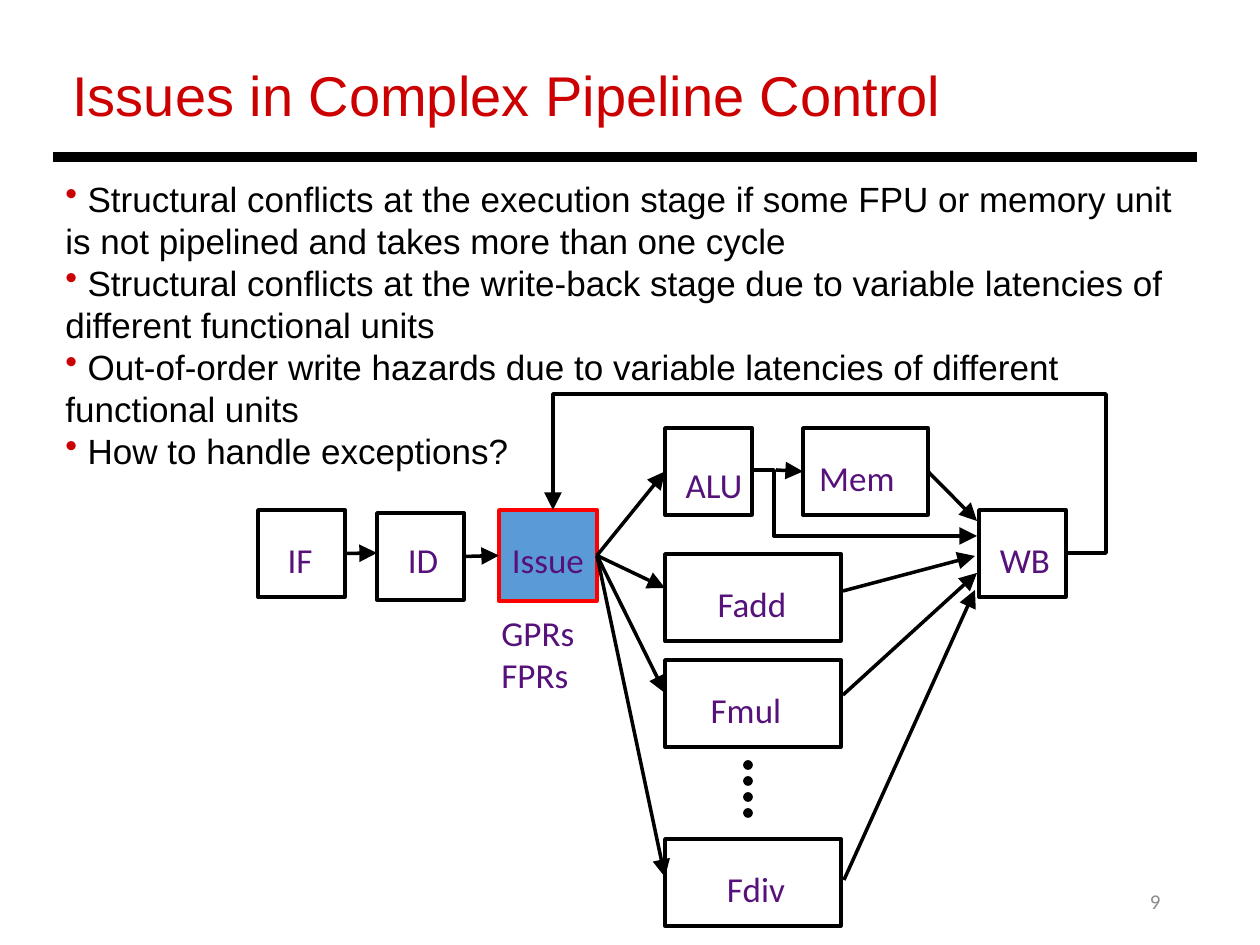
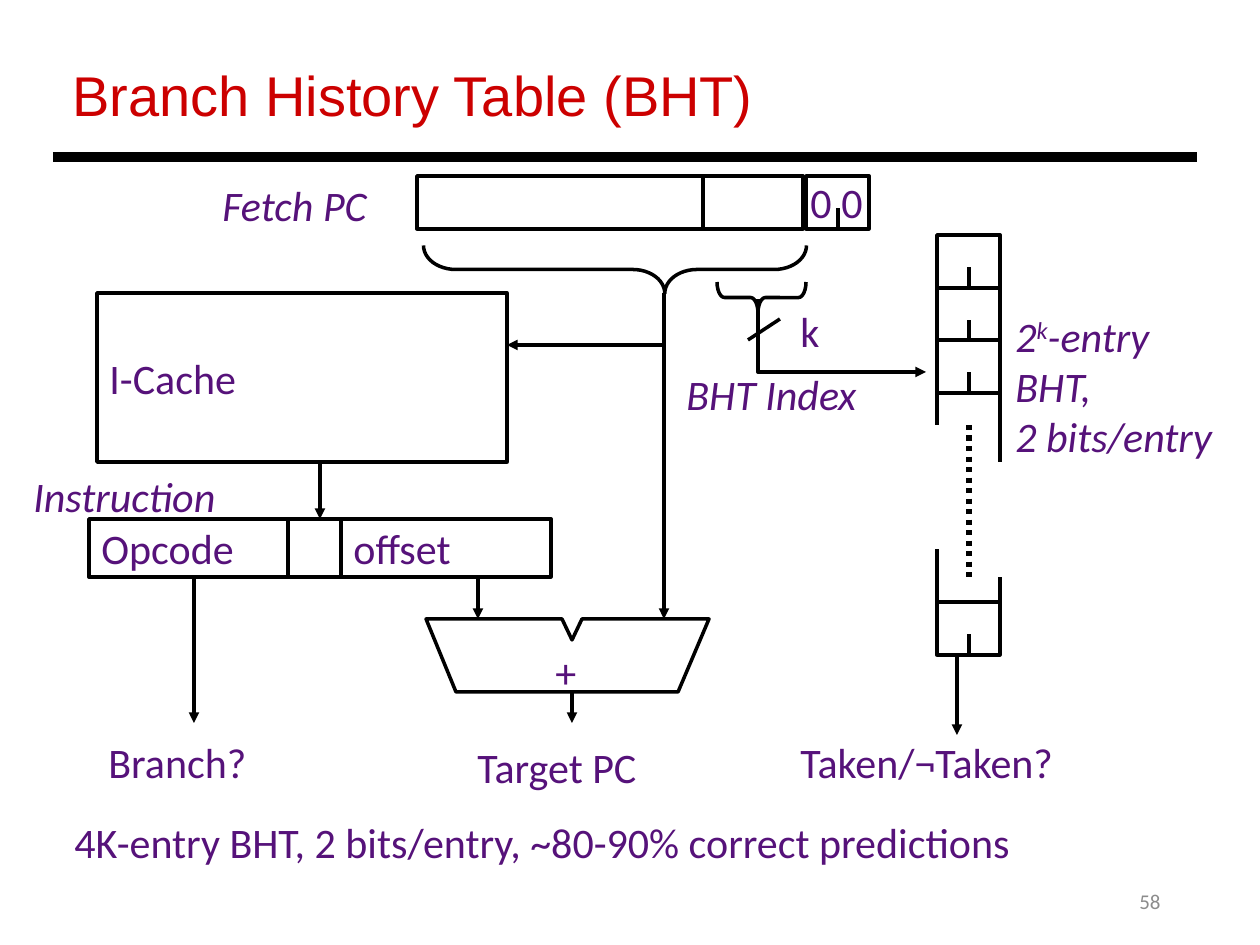
from lxml.etree import SubElement
from pptx import Presentation
from pptx.dml.color import RGBColor
from pptx.enum.dml import MSO_LINE
from pptx.enum.shapes import MSO_CONNECTOR, MSO_SHAPE
from pptx.enum.text import MSO_ANCHOR, PP_ALIGN
from pptx.oxml.ns import qn
from pptx.util import Emu, Pt

SCALE = 914400 / 126  # EMU in one px
HUES = {"title": "CC0000", "ink": "000000", "label": "56127A", "page": "8C8C8C",
        "issue": "5B9BD5", "alert": "FF0000", "paper": "FFFFFF"}
TOP, LEFT, RIGHT = 0, 1, 3  # connection sites

# Pipeline slide
ISSUES = [
    " Structural conflicts at the execution stage if some FPU or memory unit"
    " is not pipelined and takes more than one cycle",
    " Structural conflicts at the write-back stage due to variable latencies of"
    " different functional units",
    " Out-of-order write hazards due to variable latencies of different functional units",
    " How to handle exceptions?",
]
# name: x, y, width, height, label centre, label top
STAGES = {
    "IF": (258, 510, 87, 87, 300, 532),
    "ID": (377, 513, 87, 87, 423, 532),
    "Issue": (499, 510, 98, 91, 548, 532),
    "WB": (979, 510, 87, 87, 1025, 532),
    "ALU": (665, 428, 87, 87, 714, 457),
    "Mem": (803, 428, 125, 87, 857, 450),
    "Fadd": (665, 554, 176, 87, 752, 576),
    "Fmul": (665, 660, 176, 87, 746, 682),
    "Fdiv": (665, 839, 176, 87, 756, 861),
}
# from, to: a point, or a stage and its side
FLOWS = [
    (("IF", RIGHT), (377, 553)),
    (("ID", RIGHT), ("Issue", LEFT)),
    (("Issue", RIGHT), ("ALU", LEFT)),
    (("Issue", RIGHT), (665, 588)),
    (("Issue", RIGHT), (665, 693)),
    (("Issue", RIGHT), (665, 877)),
    ((776, 470), ("Mem", LEFT)),
    (("Mem", RIGHT), (977, 521)),
    ((843, 591), (975, 556)),
    ((843, 695), (977, 573)),
    ((844, 880), (975, 590)),
]
BENDS = [
    [(753, 470), (774, 470), (774, 536), (977, 536)],
    [(1067, 553), (1106, 553), (1106, 394), (553, 394), (553, 510)],
]

# Branch history slide; ^ marks superscript
NOTES = [
    ("0", 798, 170), ("0", 829, 170), ("k", 788, 299), ("+", 543, 640),
    ("Branch?", 96, 730), ("Target PC", 465, 735), ("Taken/¬Taken?", 788, 730),
]
SLANTED = [
    ("Fetch PC", 210, 173), ("Instruction", 21, 464), ("BHT Index", 674, 362),
    ("2^k^-entry\nBHT,\n2 bits/entry", 1003, 304),
]
CLAIM = "4K-entry BHT, 2 bits/entry, ~80-90% correct predictions"
FIELDS = [("Opcode", 89, 288), ("", 288, 341), ("offset", 341, 551)]
CELLS = [(806, 176), (937, 235), (937, 288), (937, 340), (937, 602)]
BRACES = [(591, 78, 48, 383, 0.67, 0.37), (746, 253, 31, 89, 0.24, 0.54)]
DROPS = [(572, 692, 723), (664, 345, 619), (194, 577, 723), (478, 577, 619),
         (320, 462, 519), (957, 655, 735)]
TURNS = [
    [(664, 293), (664, 345), (507, 345)],
    [(758, 299), (758, 372), (926, 372)],
]
PLAIN = [
    ((703, 176), (703, 229)), ((748, 340), (780, 319)),
    ((937, 392), (937, 425)), ((937, 602), (937, 549)),
    ((1000, 392), (1000, 462)), ((1000, 602), (1000, 577)),
]
ADDER = [(426, 619), (562, 619), (572, 640), (582, 619), (709, 619), (678, 692), (456, 692)]


def px(*nums):
    return [Emu(round(n * SCALE)) for n in nums]


def hue(name):
    return RGBColor.from_string(HUES[name])


def pen(line, color="ink", width=2, head=None):
    line.color.rgb = hue(color)
    line.width = Pt(width)
    if head:
        SubElement(line._get_or_add_ln(), qn("a:tailEnd"), type="triangle", w=head, len=head)


def paint(shape, fill=None, **style):
    shape.shadow.inherit = False
    if fill:
        shape.fill.solid()
        shape.fill.fore_color.rgb = hue(fill)
    else:
        shape.fill.background()
    pen(shape.line, **style)
    return shape


def box(slide, area, kind=MSO_SHAPE.RECTANGLE, **style):
    return paint(slide.shapes.add_shape(kind, *px(*area)), **style)


def text(frame, words, size=24, font="Calibri", color="label", italic=False,
         align=PP_ALIGN.LEFT, anchor=MSO_ANCHOR.TOP, bullet=None):
    frame.word_wrap = True
    frame.vertical_anchor = anchor
    for n, row in enumerate(words.split("\n")):
        para = frame.add_paragraph() if n else frame.paragraphs[0]
        para.alignment = align
        if bullet:
            prop = para._p.get_or_add_pPr()
            prop.set("marL", "0")
            prop.set("indent", "0")
            tint = SubElement(prop, qn("a:buClr"))
            SubElement(tint, qn("a:srgbClr"), val=HUES[bullet])
            SubElement(prop, qn("a:buChar"), char="•")
        for k, part in enumerate(row.split("^")):
            run = para.add_run()
            run.text = part
            face = run.font
            face.size, face.name, face.italic = Pt(size), font, italic
            face.color.rgb = hue(color)
            if k % 2:
                run._r.get_or_add_rPr().set("baseline", "30000")


def label(slide, words, area, **style):
    text(slide.shapes.add_textbox(*px(*area)).text_frame, words, **style)


def link(slide, start, end, nodes=None, **style):
    ends = [(0, 0) if isinstance(e[0], str) else e for e in (start, end)]
    wire = slide.shapes.add_connector(MSO_CONNECTOR.STRAIGHT, *px(*ends[0], *ends[1]))
    for spot, join in ((start, wire.begin_connect), (end, wire.end_connect)):
        if isinstance(spot[0], str):
            join(nodes[spot[0]], spot[1])
    pen(wire.line, **style)
    SubElement(wire._element.spPr, qn("a:effectLst"))
    return wire


def trace(slide, spots, close=False, **style):
    spots = [px(*s) for s in spots]
    form = slide.shapes.build_freeform(*spots[0], scale=1.0)
    form.add_line_segments(spots[1:], close=close)
    return paint(form.convert_to_shape(), **style)


def page(deck, title, number):
    slide = deck.slides.add_slide(deck.slide_layouts[6])
    label(slide, number, (890, 876, 283, 50), size=12, color="page",
          align=PP_ALIGN.RIGHT, anchor=MSO_ANCHOR.MIDDLE)
    label(slide, title, (60, 54, 1106, 81), size=32, font="Arial", color="title")
    link(slide, (53, 157), (1197, 157), width=6)
    return slide


def pipeline(deck):
    slide = page(deck, "Issues in Complex Pipeline Control", "9")
    label(slide, "\n".join(ISSUES), (53, 171, 1139, 310), size=20, font="Arial",
          color="ink", bullet="title")
    # Stages
    nodes = {}
    for name, (*area, mid, top) in STAGES.items():
        look = {"fill": "issue", "color": "alert"} if name == "Issue" else {}
        nodes[name] = box(slide, area, **look)
        label(slide, name, (mid - 63, top, 126, 54), size=20, align=PP_ALIGN.CENTER)
    label(slide, "GPRs\nFPRs", (489, 605, 121, 97), size=20)
    # More units
    for n in range(4):
        box(slide, (744, 761 + 16 * n, 8, 8), MSO_SHAPE.OVAL, fill="ink", width=1)
    # Flow
    for start, end in FLOWS:
        link(slide, start, end, nodes, head="lg")
    for spots in BENDS:
        trace(slide, spots, head="lg")


def history(deck):
    slide = page(deck, "Branch History Table (BHT)", "58")
    # Registers, cache and table cells
    box(slide, (417, 176, 386, 53), fill="paper")
    cache = box(slide, (97, 293, 410, 169), fill="paper")
    text(cache.text_frame, "I-Cache", anchor=MSO_ANCHOR.MIDDLE)
    for name, left, right in FIELDS:
        field = box(slide, (left, 519, right - left, 58), fill="paper")
        if name:
            text(field.text_frame, name, anchor=MSO_ANCHOR.MIDDLE)
    for x, y in CELLS:
        box(slide, (x, y, 63, 53), fill="paper")
        link(slide, (x + 32, y + 53), (x + 32, y + 32))
    trace(slide, ADDER, close=True, fill="paper")
    # Braces
    for *area, curve, tip in BRACES:
        brace = box(slide, area, MSO_SHAPE.RIGHT_BRACE)
        brace.rotation = 90
        brace.adjustments[0], brace.adjustments[1] = curve, tip
    # Lines and arrows
    for start, end in PLAIN:
        link(slide, start, end)
    dots = link(slide, (969, 425), (969, 577), width=3)
    dots.line.dash_style = MSO_LINE.ROUND_DOT
    for x, top, end in DROPS:
        link(slide, (x, top), (x, end), head="med")
    for spots in TURNS:
        trace(slide, spots, head="med")
    # Labels
    for group, slant in ((NOTES, False), (SLANTED, True)):
        for words, x, y in group:
            wide = 60 if len(words) == 1 else 300
            label(slide, words, (x, y, min(wide, 1259 - x), 64), italic=slant)
    label(slide, CLAIM, (62, 810, 1126, 63))


def main():
    deck = Presentation()
    deck.slide_width, deck.slide_height = px(1260, 945)
    pipeline(deck)
    history(deck)
    deck.save("out.pptx")


if __name__ == "__main__":
    main()
